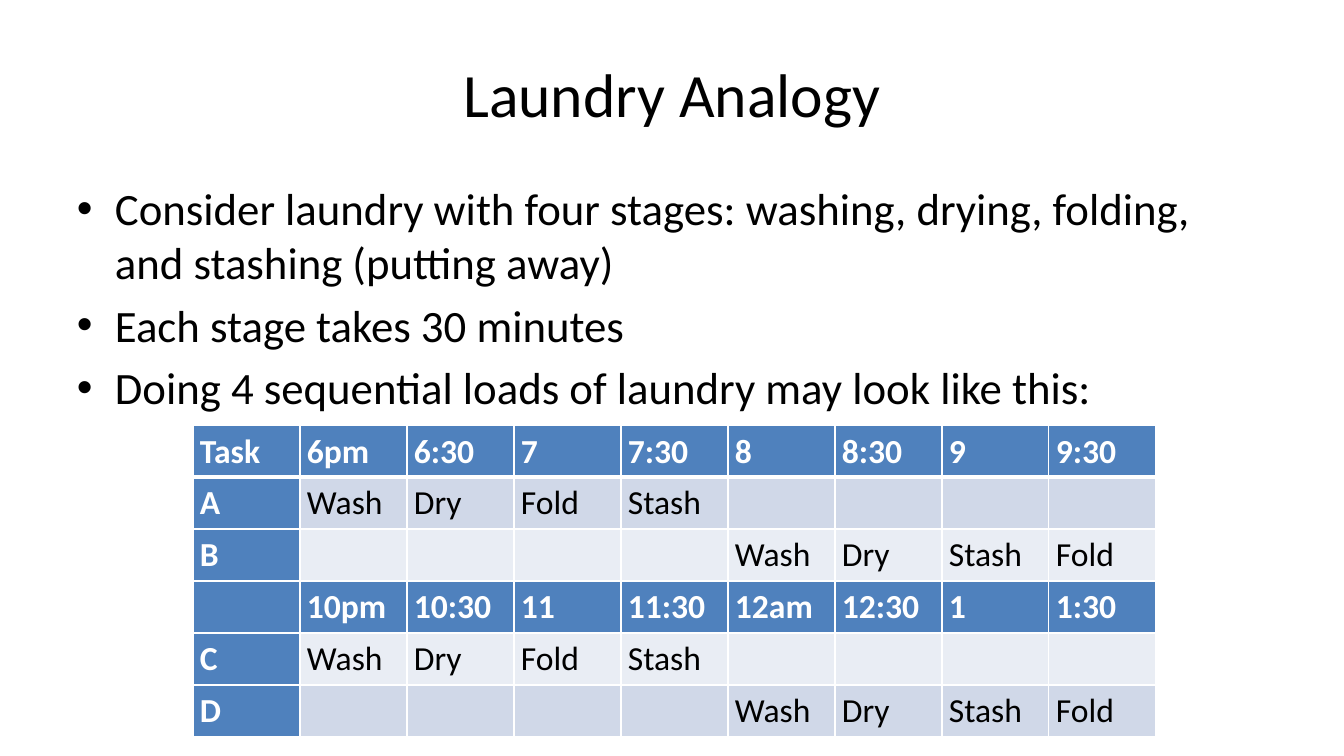
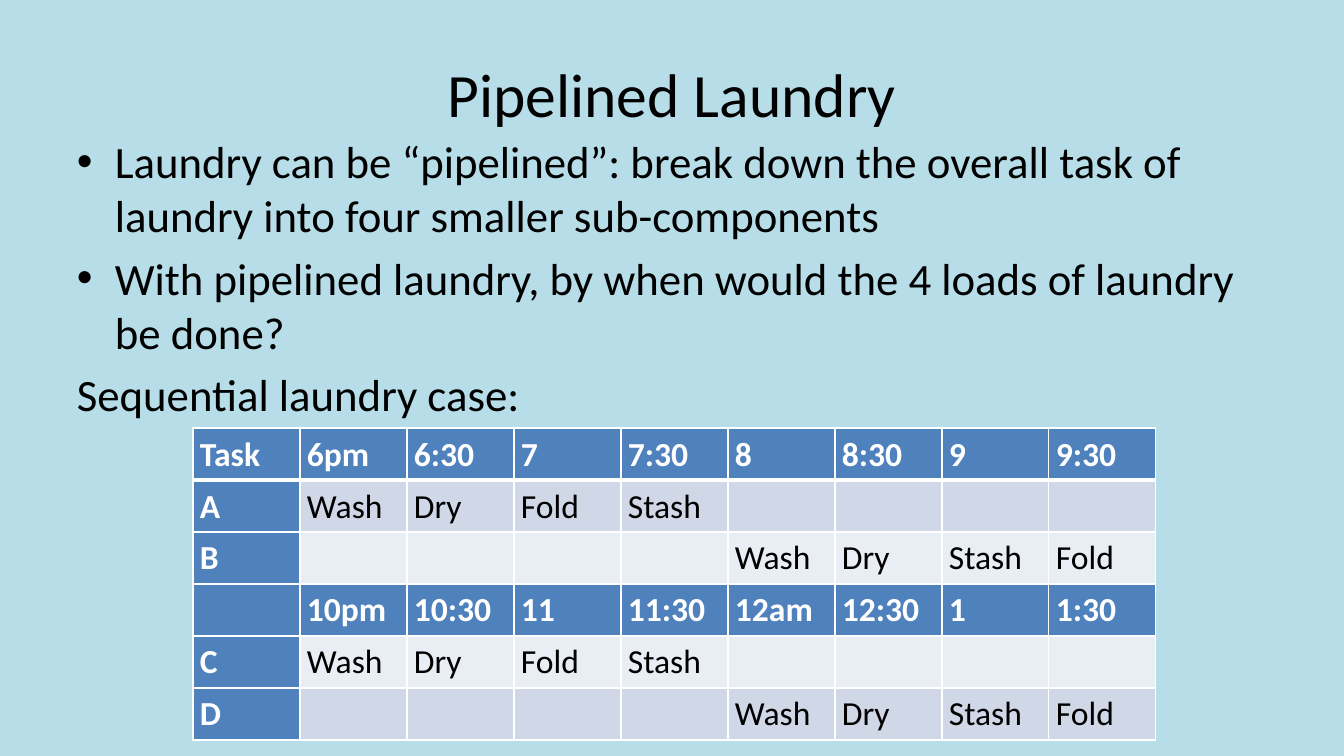
from lxml.etree import SubElement
from pptx import Presentation
from pptx.dml.color import RGBColor
from pptx.enum.text import MSO_ANCHOR, PP_ALIGN
from pptx.oxml.ns import qn
from pptx.util import Emu, Pt

SCALE = 914400 / 100.8
BLACK = RGBColor(0x00, 0x00, 0x00)
WHITE = RGBColor(0xFF, 0xFF, 0xFF)
PALE_TEAL = RGBColor(0xB7, 0xDE, 0xE8)
HEADER_BLUE = RGBColor(0x4F, 0x81, 0xBD)
BANDS = [RGBColor(0xE9, 0xED, 0xF4), RGBColor(0xD0, 0xD8, 0xE8)]
FONT = "Calibri"

MARGIN, CONTENT_W = 67, 1210
TITLE_BOX = (MARGIN, 30, CONTENT_W, 126)
BODY_H = 499
TABLE_X, COL_W, ROW_H = 193, 107, 52
BULLET_INDENT = 38
CELL_PAD = 7

IDLE = [""] * 4
EARLY_LOAD = ["Wash", "Dry", "Fold", "Stash"] + IDLE
LATE_LOAD = IDLE + ["Wash", "Dry", "Stash", "Fold"]
SCHEDULE = [
    ["Task", "6pm", "6:30", "7", "7:30", "8", "8:30", "9", "9:30"],
    ["A"] + EARLY_LOAD,
    ["B"] + LATE_LOAD,
    ["", "10pm", "10:30", "11", "11:30", "12am", "12:30", "1", "1:30"],
    ["C"] + EARLY_LOAD,
    ["D"] + LATE_LOAD,
]
TIME_ROWS = (0, 3)


def px(n):
    return Emu(round(n * SCALE))


def write(p, text, size, color=BLACK, bold=False, align=PP_ALIGN.LEFT,
          before=0, spacing=1.0, bullet=False):
    p.alignment = align
    p.space_before = Pt(before)
    p.line_spacing = spacing
    if bullet:
        pPr = p._p.get_or_add_pPr()
        pPr.set("marL", str(px(BULLET_INDENT)))
        pPr.set("indent", str(-px(BULLET_INDENT)))
        SubElement(pPr, qn("a:buFont")).set("typeface", "Arial")
        SubElement(pPr, qn("a:buChar")).set("char", "•")
    if text:
        r = p.add_run()
        r.text = text
        r.font.name = FONT
        r.font.size = Pt(size)
        r.font.bold = bold
        r.font.color.rgb = color


def add_text_frame(s, box, anchor):
    tf = s.shapes.add_textbox(*map(px, box)).text_frame
    tf.word_wrap = True
    tf.vertical_anchor = anchor
    return tf


def add_title(s, box, text):
    tf = add_text_frame(s, box, MSO_ANCHOR.MIDDLE)
    write(tf.paragraphs[0], text, 44, align=PP_ALIGN.CENTER)


def add_body(s, box, items):
    tf = add_text_frame(s, box, MSO_ANCHOR.TOP)
    for i, (text, bullet) in enumerate(items):
        p = tf.add_paragraph() if i else tf.paragraphs[0]
        write(p, text, 32, before=6.4, bullet=bullet)


def set_borders(cell, top, bottom):
    tcPr = cell._tc.get_or_add_tcPr()
    for side, width in (("L", 1), ("R", 1), ("T", top), ("B", bottom)):
        ln = SubElement(tcPr, qn("a:ln" + side), w=str(Pt(width)))
        fill = SubElement(ln, qn("a:solidFill"))
        SubElement(fill, qn("a:srgbClr")).set("val", str(WHITE))


def add_schedule(s, x, y):
    rows, cols = len(SCHEDULE), len(SCHEDULE[0])
    table = s.shapes.add_table(rows, cols, px(x), px(y),
                               px(cols * COL_W), px(rows * ROW_H)).table
    table.first_row = table.horz_banding = False
    for column in table.columns:
        column.width = px(COL_W)
    for i, labels in enumerate(SCHEDULE):
        table.rows[i].height = px(ROW_H)
        for j, label in enumerate(labels):
            cell = table.cell(i, j)
            heading = i in TIME_ROWS or j == 0
            cell.margin_left = cell.margin_right = px(CELL_PAD)
            cell.margin_top = cell.margin_bottom = 0
            set_borders(cell, 3 if i == 1 else 1, 3 if i == 0 else 1)
            cell.fill.solid()
            cell.fill.fore_color.rgb = HEADER_BLUE if heading else BANDS[i % 2]
            write(cell.text_frame.paragraphs[0], label, 24, bold=heading,
                  color=WHITE if heading else BLACK, spacing=1.15)


def add_laundry_slide(prs, title, items, body_y, table_y, background):
    s = prs.slides.add_slide(prs.slide_layouts[6])
    s.background.fill.solid()
    s.background.fill.fore_color.rgb = background
    add_title(s, TITLE_BOX, title)
    add_body(s, (MARGIN, body_y, CONTENT_W, BODY_H), items)
    add_schedule(s, TABLE_X, table_y)


prs = Presentation()
prs.slide_width, prs.slide_height = px(1344), px(756)
add_laundry_slide(prs, "Laundry Analogy", [
    ("Consider laundry with four stages: washing, drying, folding, "
     "and stashing (putting away)", True),
    ("Each stage takes 30 minutes", True),
    ("Doing 4 sequential loads of laundry may look like this:", True),
], body_y=176, table_y=425, background=WHITE)
add_laundry_slide(prs, "Pipelined Laundry", [
    ("Laundry can be “pipelined”: break down the overall task of "
     "laundry into four smaller sub-components", True),
    ("With pipelined laundry, by when would the 4 loads of laundry "
     "be done?", True),
    ("Sequential laundry case:", False),
], body_y=129, table_y=428, background=PALE_TEAL)
prs.save("out.pptx")
